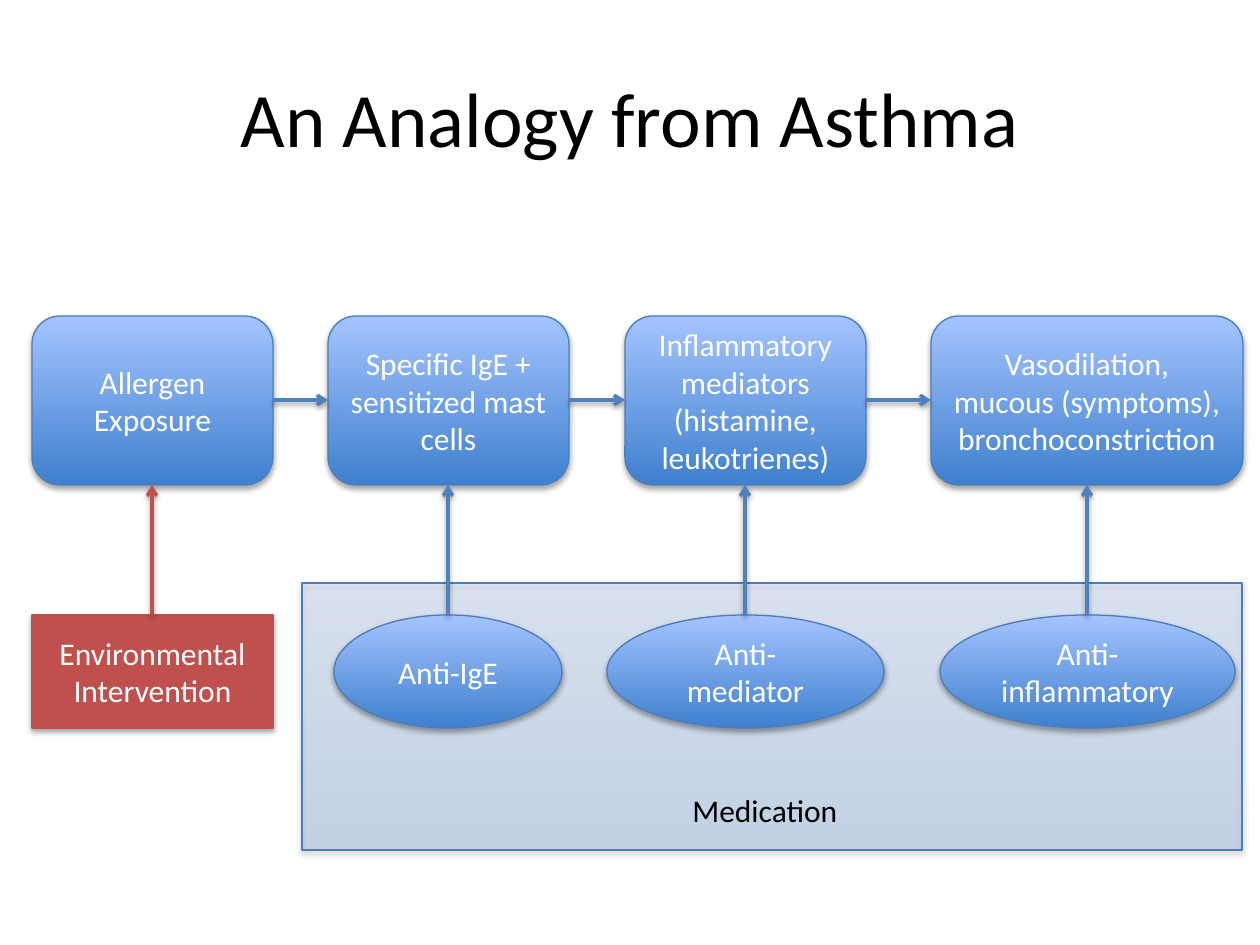
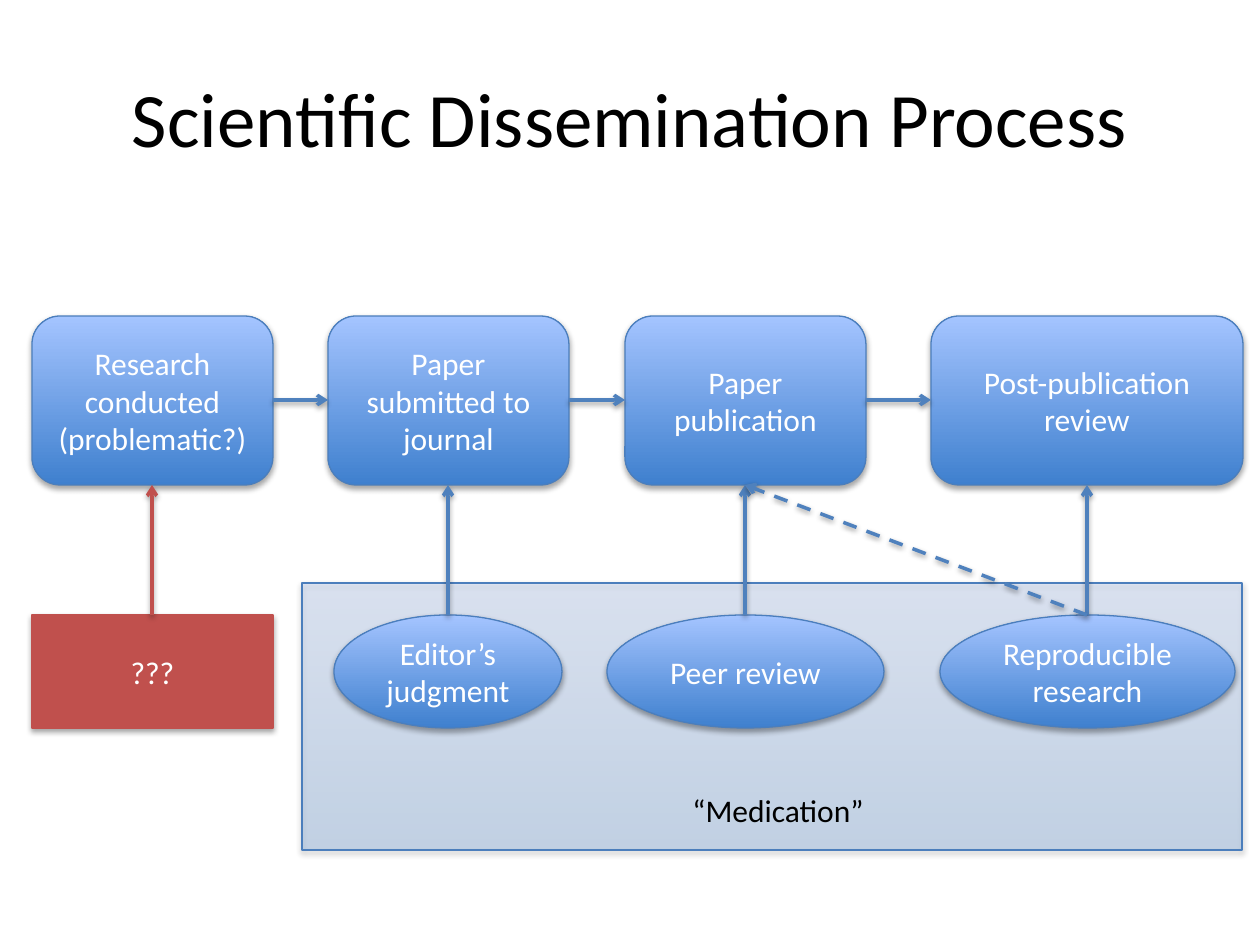
import pptx
import pptx.util
import pptx.dml.color
import pptx.enum.dml
import pptx.enum.shapes
import pptx.enum.text
import pptx.oxml
import pptx.oxml.ns

PX = 914400 / 126
RGB = pptx.dml.color.RGBColor.from_string
KIND = pptx.enum.shapes.MSO_SHAPE
ALIGN = pptx.enum.text.PP_ALIGN
ANCHOR = pptx.enum.text.MSO_ANCHOR
NS = pptx.oxml.ns.nsdecls("a")

INK = {"black": "000000", "white": "FFFFFF", "deep": "3F80CE", "pale": "A4C4FF",
       "edge": "4B7EBC", "blue": "4F81BD", "red": "C0504D"}

# Text styles
TITLE = {"size": 44, "color": "black", "align": ALIGN.CENTER}
NODE = {"size": 18, "color": "white", "align": ALIGN.CENTER}
LABEL = {"size": 18, "color": "black", "align": ALIGN.LEFT}

# Shared layout in px: the four columns, the row of steps, the row of remedies
COLS = [(32, 241), (328, 241), (625, 241), (931, 312)]
MIDS = [left + wide // 2 for left, wide in COLS]
OVALS = [228, 277, 295]
STEP_TOP, STEP_HIGH = 316, 169
CURE_TOP, CURE_HIGH = 615, 113
STEP_END = STEP_TOP + STEP_HIGH
STEP_MID = STEP_TOP + STEP_HIGH // 2

SLIDES = [
    {"title": "An Analogy from Asthma",
     "steps": ["Allergen Exposure", "Specific IgE + sensitized mast cells",
               "Inflammatory mediators (histamine, leukotrienes)",
               "Vasodilation, mucous (symptoms), bronchoconstriction"],
     "source": "Environmental Intervention",
     "cures": ["Anti-IgE", "Anti-mediator", "Anti-inflammatory"],
     "label": "Medication", "wide": 173, "dashed": False},
    {"title": "Scientific Dissemination Process",
     "steps": ["Research conducted (problematic?)", "Paper submitted to journal",
               "Paper publication", "Post-publication review"],
     "source": "???",
     "cures": ["Editor’s judgment", "Peer review", "Reproducible research"],
     "label": "“Medication”", "wide": 198, "dashed": True},
]


def write(shape, text, style, wrap=True):
    frame = shape.text_frame
    frame.word_wrap = wrap
    frame.vertical_anchor = ANCHOR.MIDDLE if wrap else ANCHOR.TOP
    para = frame.paragraphs[0]
    para.text = text
    para.alignment = style["align"]
    values = {"name": "Calibri", "size": pptx.util.Pt(style["size"])}
    for key, value in values.items():
        setattr(para.font, key, value)
    para.font.color.rgb = RGB(INK[style["color"]])


def finish(item, color, points, drop, alpha):
    item.line.color.rgb = RGB(INK[color])
    item.line.width = pptx.util.Pt(points)
    item._element.spPr.append(pptx.oxml.parse_xml(
        f'<a:effectLst {NS}><a:outerShdw blurRad="40000" dist="{drop}" dir="5400000" '
        f'rotWithShape="0"><a:srgbClr val="{INK["black"]}"><a:alpha val="{alpha}"/>'
        '</a:srgbClr></a:outerShdw></a:effectLst>'))


deck = pptx.Presentation()
deck.slide_width = pptx.util.Inches(10)
deck.slide_height = pptx.util.Inches(7.5)

for page in SLIDES:
    shapes = deck.slides.add_slide(deck.slide_layouts[6]).shapes

    # Title
    title = shapes.add_textbox(*[round(v * PX) for v in (63, 38, 1134, 158)])
    write(title, page["title"], TITLE)

    # Panel, steps, red source box and ovals: kind, text, place, fill
    nodes = [(KIND.RECTANGLE, "", (302, 583, 940, 267), "clear")]
    for (left, wide), text in zip(COLS, page["steps"]):
        nodes.append((KIND.ROUNDED_RECTANGLE, text,
                      (left, STEP_TOP, wide, STEP_HIGH), "blend"))
    nodes.append((KIND.RECTANGLE, page["source"],
                  (COLS[0][0], CURE_TOP, COLS[0][1], CURE_HIGH), "red"))
    for mid, wide, text in zip(MIDS[1:], OVALS, page["cures"]):
        nodes.append((KIND.OVAL, text,
                      (mid - wide // 2, CURE_TOP, wide, CURE_HIGH), "blend"))

    for kind, text, place, fill in nodes:
        node = shapes.add_shape(kind, *[round(v * PX) for v in place])
        if fill == "red":
            node.fill.solid()
            node.fill.fore_color.rgb = RGB(INK["red"])
        else:
            node.fill.gradient()
            node.fill.gradient_angle = 90
            for stop, name in zip(node.fill.gradient_stops, ("deep", "pale")):
                stop.color.rgb = RGB(INK[name])
        if fill == "clear":
            for tint in node._element.spPr.iter(pptx.oxml.ns.qn("a:srgbClr")):
                tint.append(pptx.oxml.parse_xml(f'<a:alpha {NS} val="24000"/>'))
        finish(node, "red" if fill == "red" else "edge", 0.75, 23000, 35000)
        if text:
            write(node, text, NODE)

    # Arrows: between steps, from the lower row up, and the dashed one
    arrows = [(left + wide, STEP_MID, after, STEP_MID, "blue", False)
              for (left, wide), (after, _) in zip(COLS, COLS[1:])]
    arrows += [(mid, CURE_TOP, mid, STEP_END, "blue" if i else "red", False)
               for i, mid in enumerate(MIDS)]
    if page["dashed"]:
        arrows.append((MIDS[3], CURE_TOP, MIDS[2], STEP_END, "blue", True))

    for *ends, color, dashed in arrows:
        arrow = shapes.add_connector(pptx.enum.shapes.MSO_CONNECTOR.STRAIGHT,
                                     *[round(v * PX) for v in ends])
        finish(arrow, color, 2, 20000, 38000)
        if dashed:
            arrow.line.dash_style = pptx.enum.dml.MSO_LINE.DASH
        arrow.line._get_or_add_ln().append(
            pptx.oxml.parse_xml(f'<a:tailEnd {NS} type="arrow"/>'))

    # Panel label
    label = shapes.add_textbox(*[round(v * PX) for v in (680, 785, page["wide"], 50)])
    write(label, page["label"], LABEL, wrap=False)

deck.save("out.pptx")
